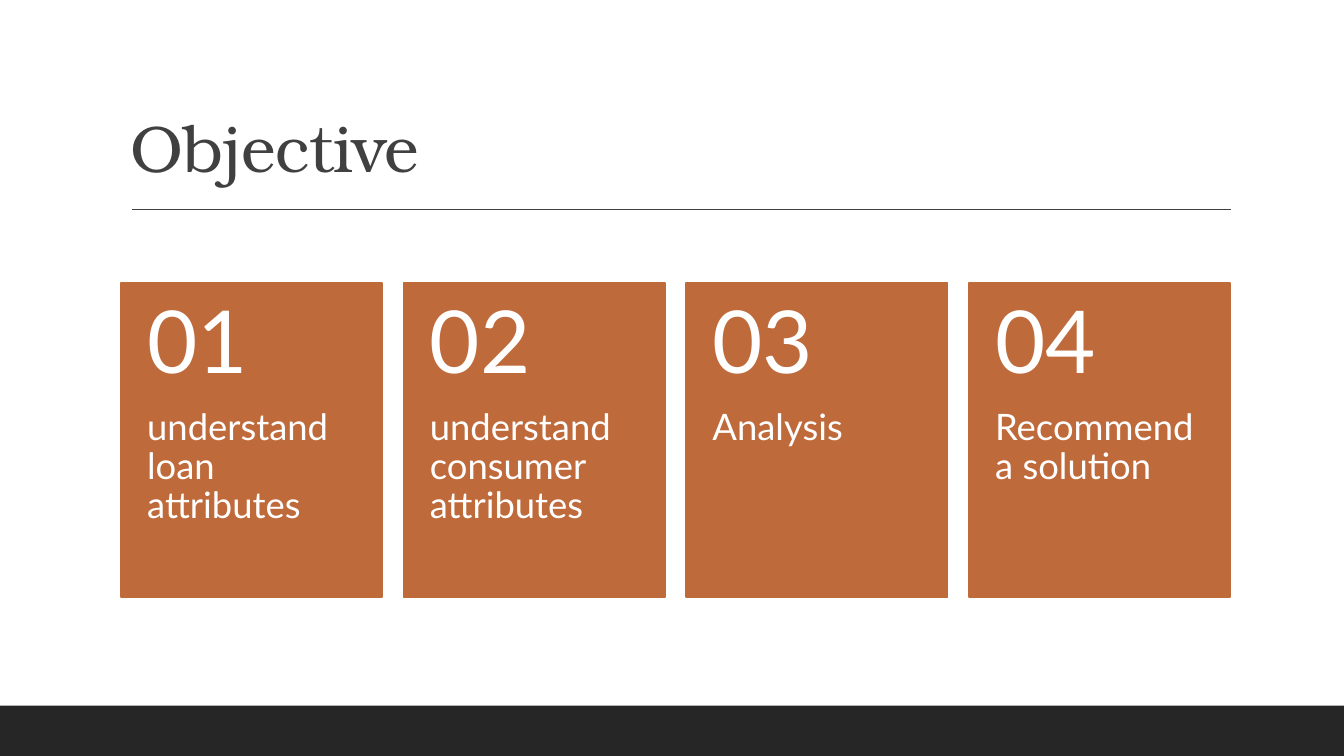
import pptx
import pptx.dml.color
import pptx.enum.shapes
import pptx.enum.text
import pptx.oxml
import pptx.util
from pptx.util import Inches

ANCHOR = pptx.enum.text.MSO_ANCHOR
STEPS = [
    "understand loan attributes",
    "understand consumer attributes",
    "Analysis",
    "Recommend a solution",
]


def rgb(value):
    """Turn a hex string into a colour."""
    return pptx.dml.color.RGBColor.from_string(value)


def add_rect(slide, x, y, w, h, color, line_width=0):
    """Add a flat rectangle, outlined in its own colour if a width is given."""
    sp = slide.shapes.add_shape(
        pptx.enum.shapes.MSO_SHAPE.RECTANGLE, Inches(x), Inches(y), Inches(w), Inches(h))
    sp.shadow.inherit = False
    sp.fill.solid()
    sp.fill.fore_color.rgb = rgb(color)
    if line_width:
        sp.line.color.rgb = rgb(color)
        sp.line.width = pptx.util.Pt(line_width)
    else:
        sp.line.fill.background()


def add_text(slide, x, y, w, h, text, size, font, color, anchor, insets):
    """Add a wrapped one-paragraph text box and return its paragraph."""
    tf = slide.shapes.add_textbox(Inches(x), Inches(y), Inches(w), Inches(h)).text_frame
    tf.word_wrap = True
    tf.vertical_anchor = anchor
    tf.margin_left, tf.margin_top, tf.margin_right, tf.margin_bottom = map(Inches, insets)
    p = tf.paragraphs[0]
    p.text = text
    p.line_spacing = 0.9
    p.font.size = pptx.util.Pt(size)
    p.font.name = font
    p.font.color.rgb = rgb(color)
    return p


def add_header(slide, x, y, w, h):
    """Place the title at the foot of its box with a rule below it."""
    p = add_text(slide, x, y, w, h, "Objective", 47, "TeX Gyre Bonum", "404040",
                 ANCHOR.BOTTOM, (0.1, 0.05, 0.1, 0.05))
    p.runs[0].font._element.set("spc", "-50")
    rule_y = Inches(y + h + 0.18)
    rule = slide.shapes.add_connector(
        pptx.enum.shapes.MSO_CONNECTOR.STRAIGHT,
        Inches(x + 0.11), rule_y, Inches(x + w + 0.01), rule_y)
    rule.line.color.rgb = rgb("404040")
    rule.line.width = pptx.util.Pt(1)
    rule._element.spPr.append(pptx.oxml.parse_xml(
        '<a:effectLst xmlns:a="http://schemas.openxmlformats.org/drawingml/2006/main"/>'))


def add_card(slide, x, y, w, h, number, text):
    """Place a step card with its number above its text."""
    number_h = 0.4 * h
    add_rect(slide, x, y, w, h, "BF6A3B", 1.25)
    add_text(slide, x, y + number_h, w, h - number_h, text, 26, "Lato", "FFFFFF",
             ANCHOR.TOP, (0.26, 0, 0.26, 0.36))
    add_text(slide, x, y, w, number_h, f"{number:02d}", 62, "Lato", "FFFFFF",
             ANCHOR.MIDDLE, (0.26, 0.18, 0.26, 0.18))


def add_cards(slide, x, y, w, h, card_w):
    """Spread the step cards evenly across the box."""
    pitch = (w - card_w) / (len(STEPS) - 1)
    for i, text in enumerate(STEPS):
        add_card(slide, x + i * pitch, y, card_w, h, i + 1, text)


def main():
    """Build and save the slide."""
    prs = pptx.Presentation()
    prs.slide_width, prs.slide_height = Inches(13.33), Inches(7.5)
    slide = prs.slides.add_slide(prs.slide_layouts[6])
    add_rect(slide, 0, 7, 13.33, 0.5, "262626")
    add_header(slide, 1.2, 0.31, 11, 1.59)
    add_cards(slide, 1.2, 2.81, 11, 3.11, 2.59)
    prs.save("out.pptx")


if __name__ == "__main__":
    main()
